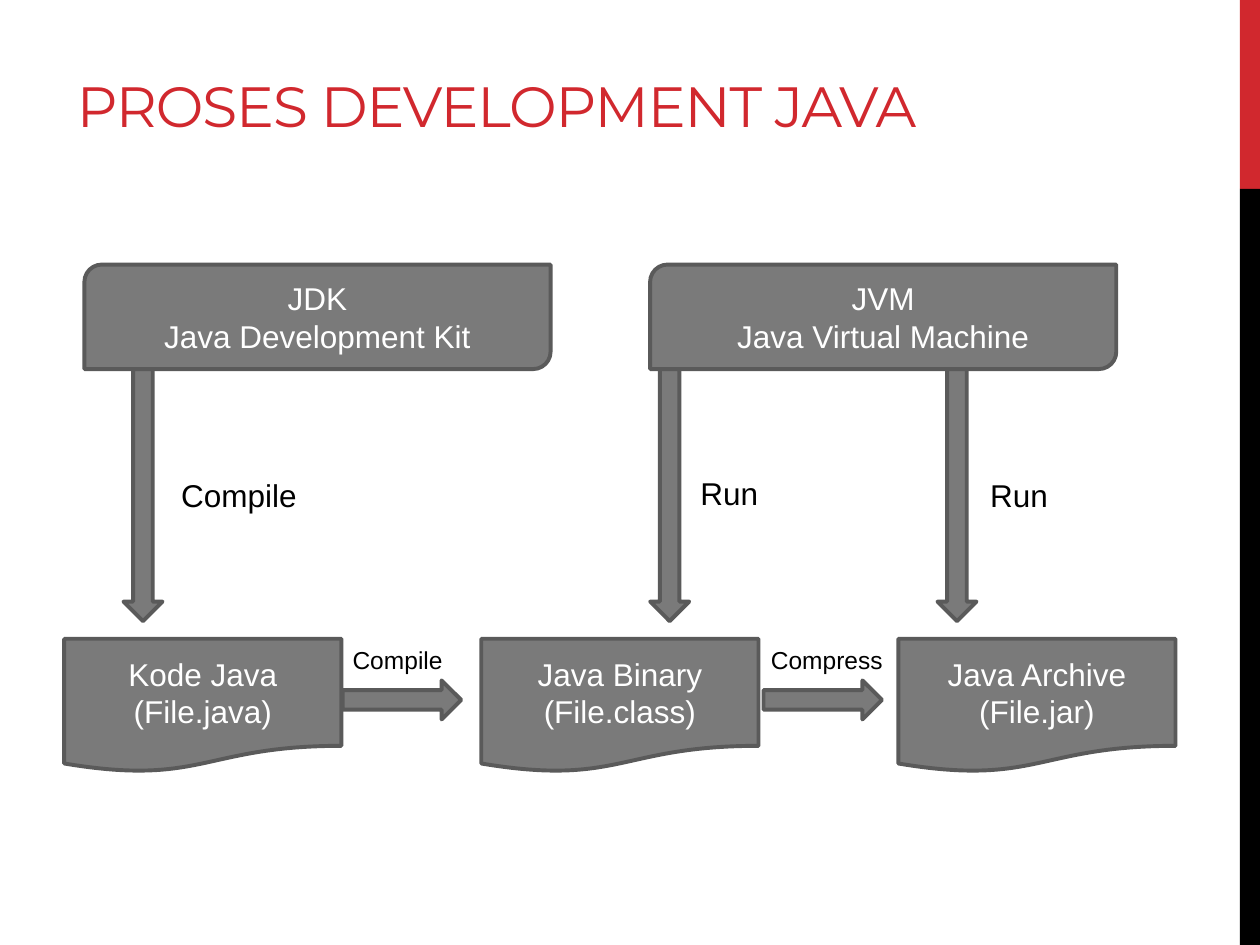
import pptx
import pptx.util
import pptx.dml.color
import pptx.enum.shapes
import pptx.enum.text

Inches = pptx.util.Inches
SHAPE = pptx.enum.shapes.MSO_SHAPE
ALIGN = pptx.enum.text.PP_ALIGN
ANCHOR = pptx.enum.text.MSO_ANCHOR

# Content
TITLE = "PROSES DEVELOPMENT JAVA"
TOOLS = [("JDK", "Java Development Kit"), ("JVM", "Java Virtual Machine")]
FILES = [("Kode Java", "(File.java)"), ("Java Binary", "(File.class)"),
         ("Java Archive", "(File.jar)")]
DOWN_ARROWS = [0.98, 5.16, 7.44]
RIGHT_ARROWS = [2.72, 6.06]
# text, left, top, width, height, size, wrap
LABELS = [
    ("Compile", 1.34, 3.73, 1.13, 0.4, 18, False),
    ("Run", 5.46, 3.71, 0.66, 0.4, 18, False),
    ("Run", 7.76, 3.73, 0.66, 0.4, 18, False),
    ("Compile", 2.7, 5.07, 1.14, 0.34, 14, True),
    ("Compress", 6.02, 5.07, 1.14, 0.34, 14, True),
]

COLORS = {"red": "D1282E", "black": "000000", "white": "FFFFFF",
          "gray": "7A7A7A", "edge": "5A5A5A"}


def rgb(name):
    return pptx.dml.color.RGBColor.from_string(COLORS[name])


def write(sp, lines, color, size, font="Arial", align=ALIGN.LEFT, **frame):
    tf = sp.text_frame
    for key, value in frame.items():
        setattr(tf, key, value)
    tf.text = "\n".join(lines)
    for p in tf.paragraphs:
        p.alignment = align
        r = p.runs[0]
        for key, value in {"name": font, "size": pptx.util.Pt(size)}.items():
            setattr(r.font, key, value)
        r.font.color.rgb = rgb(color)


def add_shape(s, kind, box, fill="gray", edge="edge"):
    sp = s.shapes.add_shape(kind, *map(Inches, box))
    sp.shadow.inherit = False
    sp.fill.solid()
    sp.fill.fore_color.rgb = rgb(fill)
    if edge:
        sp.line.color.rgb = rgb(edge)
        sp.line.width = pptx.util.Pt(2.25)
    else:
        sp.line.fill.background()
    return sp


def add_row(s, kind, items, left, top, width, height, pitch):
    for i, lines in enumerate(items):
        sp = add_shape(s, kind, (left + i * pitch, top, width, height))
        write(sp, lines, "white", 18, align=ALIGN.CENTER,
              vertical_anchor=ANCHOR.MIDDLE, word_wrap=True)


def main():
    prs = pptx.Presentation()
    prs.slide_width, prs.slide_height = Inches(10), Inches(7.5)
    s = prs.slides.add_slide(prs.slide_layouts[5])

    # Side band
    for color, top, height in [("red", 0, 1.5), ("black", 1.5, 6)]:
        add_shape(s, SHAPE.RECTANGLE, (9.84, top, 0.16, height), color, None)

    # Title
    title = s.shapes.title
    place = {"left": 0.51, "top": 0.48, "width": 8.12, "height": 0.67}
    for key, value in place.items():
        setattr(title, key, Inches(value))
    write(title, [TITLE], "red", 32.4, "Montserrat",
          vertical_anchor=ANCHOR.BOTTOM, word_wrap=True,
          auto_size=pptx.enum.text.MSO_AUTO_SIZE.NONE)
    title.text_frame.paragraphs[0].runs[0].font._element.set("spc", "-60")

    # Tools above, files below
    add_row(s, SHAPE.ROUND_2_DIAG_RECTANGLE, TOOLS, 0.67, 2.1, 3.7, 0.83, 4.49)
    add_row(s, SHAPE.FLOWCHART_DOCUMENT, FILES, 0.51, 5.07, 2.2, 1.06, 3.31)

    # Block arrows
    for left in DOWN_ARROWS:
        add_shape(s, SHAPE.DOWN_ARROW, (left, 2.93, 0.31, 2))
    for left in RIGHT_ARROWS:
        add_shape(s, SHAPE.RIGHT_ARROW, (left, 5.4, 0.94, 0.31))

    # Arrow labels
    for text, left, top, width, height, size, wrap in LABELS:
        sp = s.shapes.add_textbox(*map(Inches, (left, top, width, height)))
        write(sp, [text], "black", size, word_wrap=wrap,
              auto_size=pptx.enum.text.MSO_AUTO_SIZE.SHAPE_TO_FIT_TEXT)

    prs.save("out.pptx")


if __name__ == "__main__":
    main()
